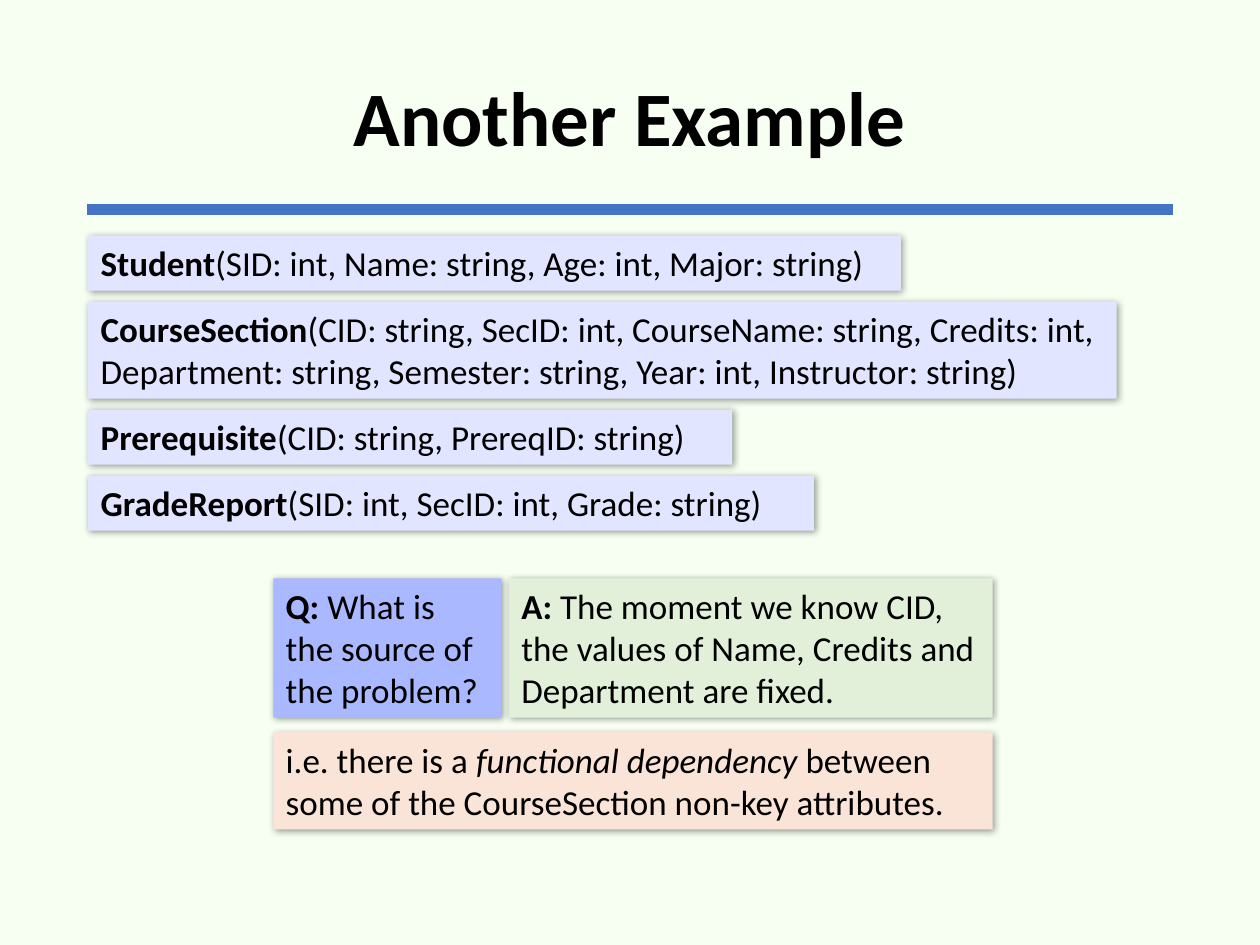
from dataclasses import dataclass

from lxml.etree import SubElement
from pptx import Presentation
from pptx.dml.color import RGBColor
from pptx.enum.shapes import MSO_CONNECTOR, MSO_SHAPE
from pptx.enum.text import MSO_ANCHOR, MSO_AUTO_SIZE, PP_ALIGN
from pptx.oxml.ns import qn
from pptx.util import Cm, Pt

COLORS = {
    "background": "F7FFF3",
    "rule": "4472C4",
    "text": "000000",
    "relation": "E2E5FF",
    "question": "AAB9FF",
    "answer": "E2F0D9",
    "conclusion": "FAE4D7",
}
BODY_FONT = {"name": "Calibri", "size": Pt(20)}
LINE_HEIGHT = 0.85
PADDING = 0.26
RELATIONS_LEFT, RELATIONS_TOP, RELATIONS_GAP = 1.78, 4.75, 0.22
DISCUSSION_LEFT, DISCUSSION_TOP = 5.51, 11.66


@dataclass
class Span:
    text: str
    bold: bool = False
    italic: bool = False


@dataclass
class Panel:
    """A filled box of text; lengths are in centimetres."""
    color: str
    left: float
    top: float
    width: float
    lines: int
    spans: list[Span]

    @property
    def height(self) -> float:
        return PADDING + self.lines * LINE_HEIGHT


@dataclass
class Relation:
    name: str
    attributes: str
    width: float
    lines: int = 1


RELATIONS = [
    Relation("Student", "(SID: int, Name: string, Age: int, Major: string)", 16.38),
    Relation("CourseSection",
             "(CID: string, SecID: int, CourseName: string, Credits: int, "
             "Department: string, Semester: string, Year: int, Instructor: string)",
             20.73, lines=2),
    Relation("Prerequisite", "(CID: string, PrereqID: string)", 12.98),
    Relation("GradeReport", "(SID: int, SecID: int, Grade: string)", 14.63),
]
DISCUSSION = [
    Panel("question", DISCUSSION_LEFT, DISCUSSION_TOP, 4.6, 3,
          [Span("Q: ", bold=True), Span("What is the source of the problem?")]),
    Panel("answer", 10.26, DISCUSSION_TOP, 9.75, 3,
          [Span("A:", bold=True),
           Span(" The moment we know CID, the values of Name, Credits and "
                "Department are fixed.")]),
    Panel("conclusion", DISCUSSION_LEFT, 14.76, 14.5, 2,
          [Span("i.e. there is a "), Span("functional dependency", italic=True),
           Span(" between some of the CourseSection non-key attributes.")]),
]


def rgb(color: str) -> RGBColor:
    return RGBColor.from_string(COLORS[color])


def format_font(font, **values) -> None:
    for attribute, value in values.items():
        setattr(font, attribute, value)
    font.color.rgb = rgb("text")


def add_soft_shadow(shape) -> None:
    shape.shadow.inherit = False
    effects = shape._element.spPr.find(qn("a:effectLst"))
    shadow = SubElement(effects, qn("a:outerShdw"), blurRad=str(Pt(4)),
                        dist=str(Pt(1)), dir="2700000", algn="tl", rotWithShape="0")
    color = SubElement(shadow, qn("a:srgbClr"), val=COLORS["text"])
    SubElement(color, qn("a:alpha"), val="40000")


def add_panel(slide, panel: Panel) -> None:
    box = slide.shapes.add_shape(MSO_SHAPE.RECTANGLE, Cm(panel.left), Cm(panel.top),
                                 Cm(panel.width), Cm(panel.height))
    box.fill.solid()
    box.fill.fore_color.rgb = rgb(panel.color)
    box.line.fill.background()
    add_soft_shadow(box)
    frame = box.text_frame
    frame.word_wrap = True
    frame.auto_size = MSO_AUTO_SIZE.SHAPE_TO_FIT_TEXT
    frame.vertical_anchor = MSO_ANCHOR.TOP
    paragraph = frame.paragraphs[0]
    paragraph.alignment = PP_ALIGN.LEFT
    for span in panel.spans:
        run = paragraph.add_run()
        run.text = span.text
        format_font(run.font, bold=span.bold, italic=span.italic, **BODY_FONT)


def add_title(slide, text: str) -> None:
    title = slide.shapes.title
    title.left, title.top, title.width, title.height = (
        Cm(0.99), Cm(0.61), Cm(23.42), Cm(3.68))
    title.text_frame.text = text
    title.text_frame.vertical_anchor = MSO_ANCHOR.MIDDLE
    paragraph = title.text_frame.paragraphs[0]
    paragraph.alignment = PP_ALIGN.CENTER
    paragraph.line_spacing = 0.9
    format_font(paragraph.runs[0].font, name="Calibri", size=Pt(44), bold=True)


def add_title_rule(slide) -> None:
    rule = slide.shapes.add_connector(MSO_CONNECTOR.STRAIGHT,
                                      Cm(1.75), Cm(4.22), Cm(23.65), Cm(4.22))
    rule.line.color.rgb = rgb("rule")
    rule.line.width = Pt(6)
    SubElement(rule._element.spPr, qn("a:effectLst"))


def add_relations(slide) -> None:
    """Stack the relation schemas downwards with equal gaps."""
    top = RELATIONS_TOP
    for relation in RELATIONS:
        panel = Panel("relation", RELATIONS_LEFT, top, relation.width, relation.lines,
                      [Span(relation.name, bold=True), Span(relation.attributes)])
        add_panel(slide, panel)
        top += panel.height + RELATIONS_GAP


def main() -> None:
    presentation = Presentation()
    presentation.slide_width, presentation.slide_height = Cm(25.4), Cm(19.05)
    slide = presentation.slides.add_slide(presentation.slide_layouts[5])
    slide.background.fill.solid()
    slide.background.fill.fore_color.rgb = rgb("background")
    add_title_rule(slide)
    add_title(slide, "Another Example")
    add_relations(slide)
    for panel in DISCUSSION:
        add_panel(slide, panel)
    presentation.save("out.pptx")


if __name__ == "__main__":
    main()
